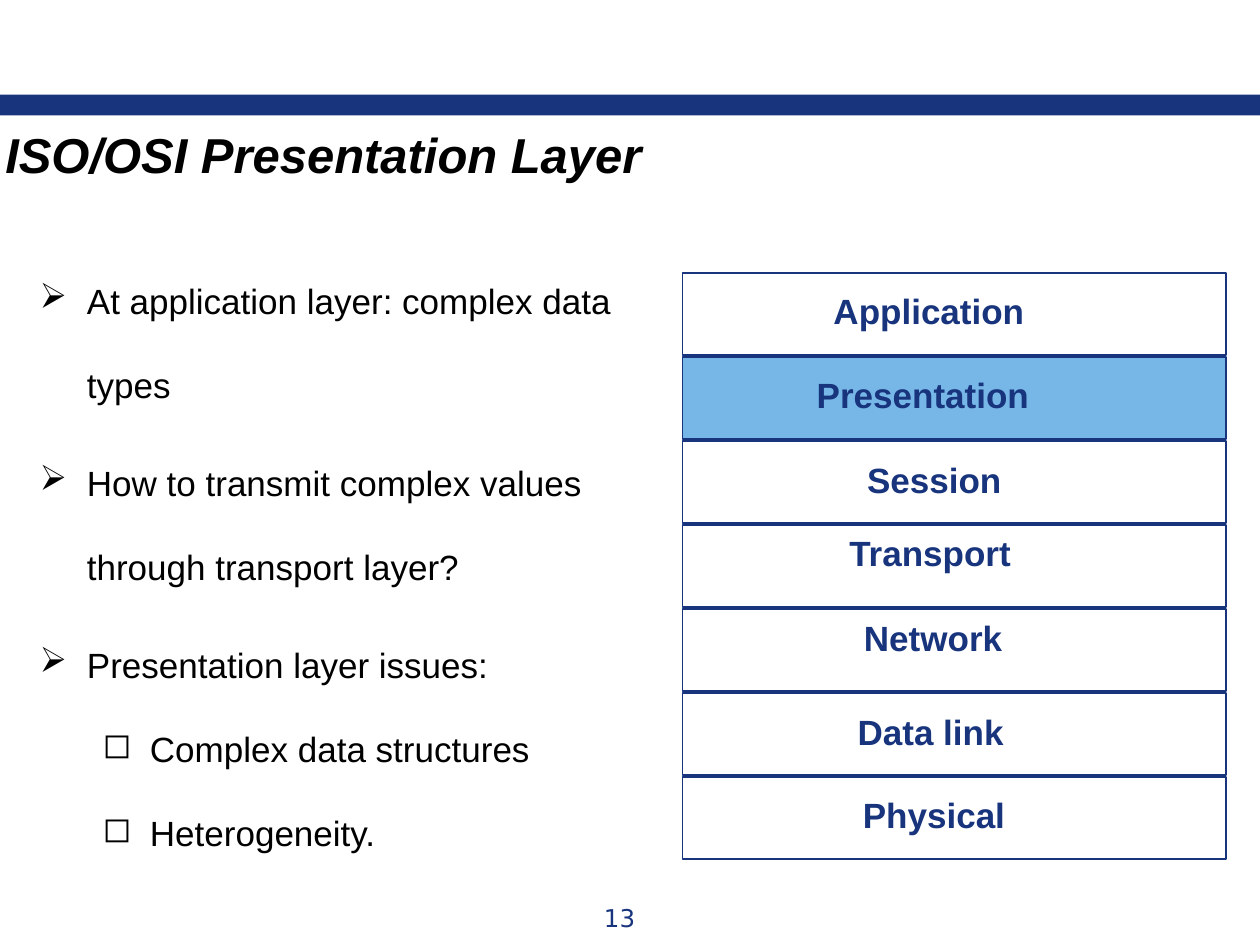
from dataclasses import dataclass

from lxml.etree import SubElement
from pptx import Presentation
from pptx.dml.color import RGBColor
from pptx.enum.shapes import MSO_SHAPE as Preset
from pptx.enum.text import MSO_ANCHOR as Anchor, MSO_AUTO_SIZE as AutoSize, PP_ALIGN as Align
from pptx.oxml.ns import qn
from pptx.util import Pt

PX = 7620  # EMU per px, 120 px to the inch
NAVY, SKY, BLACK = "17347D", "77B7E7", "000000"
ROW_LEFT, ROW_TOP, ROW_WIDTH, ROW_HEIGHT, ROW_PITCH = 650, 260, 518, 78, 80
LABEL_HEIGHT = 52


@dataclass
class Layer:
    name: str
    left: int
    top: int
    width: int
    fill: str | None = None


@dataclass
class Bullet:
    text: str
    level: int = 0
    space_before: int = 0


LAYERS = [
    Layer("Application", 782, 270, 208),
    Layer("Presentation", 766, 350, 228, SKY),
    Layer("Session", 814, 431, 154),
    Layer("Transport", 797, 500, 179),
    Layer("Network", 811, 581, 157),
    Layer("Data link", 805, 671, 164),
    Layer("Physical", 810, 750, 161),
]
BULLETS = [
    Bullet("At application layer: complex data types"),
    Bullet("How to transmit complex values through transport layer?", space_before=8),
    Bullet("Presentation layer issues:", space_before=8),
    Bullet("Complex data structures", level=1),
    Bullet("Heterogeneity.", level=1),
]
BULLET_SIGNS = ["➢", "◻"]
TEXT_INDENTS = [45, 105]
HANGING = 45


def color(value: str) -> RGBColor:
    return RGBColor.from_string(value)


def box(left: int, top: int, width: int, height: int) -> tuple[int, ...]:
    return tuple(length * PX for length in (left, top, width, height))


def set_font(paragraph, size: int, hex_color: str, name: str = "Arial",
             bold: bool = False, italic: bool = False) -> None:
    font = paragraph.font
    font.name, font.size, font.bold, font.italic = name, Pt(size), bold, italic
    font.color.rgb = color(hex_color)


def add_rectangle(slide, bounds: tuple[int, ...], fill: str | None, line: str | None) -> None:
    shape = slide.shapes.add_shape(Preset.RECTANGLE, *bounds)
    shape.shadow.inherit = False
    if fill:
        shape.fill.solid()
        shape.fill.fore_color.rgb = color(fill)
    else:
        shape.fill.background()
    if line:
        shape.line.color.rgb = color(line)
        shape.line.width = Pt(1)
    else:
        shape.line.fill.background()


def add_label(slide, layer: Layer) -> None:
    bounds = box(layer.left, layer.top, layer.width, LABEL_HEIGHT)
    frame = slide.shapes.add_textbox(*bounds).text_frame
    frame.word_wrap = False
    frame.auto_size = AutoSize.SHAPE_TO_FIT_TEXT
    frame.text = layer.name
    set_font(frame.paragraphs[0], 20, NAVY, bold=True)


def add_bullet(paragraph, bullet: Bullet) -> None:
    paragraph.text = bullet.text
    paragraph.level = bullet.level
    paragraph.line_spacing = 2.0
    if bullet.space_before:
        paragraph.space_before = Pt(bullet.space_before)
    properties = paragraph._p.get_or_add_pPr()
    properties.set("marL", str(TEXT_INDENTS[bullet.level] * PX))
    properties.set("indent", str(-HANGING * PX))
    SubElement(properties, qn("a:buChar")).set("char", BULLET_SIGNS[bullet.level])
    set_font(paragraph, 20, BLACK)


def main() -> None:
    presentation = Presentation()
    presentation.slide_width, presentation.slide_height = 1200 * PX, 900 * PX
    slide = presentation.slides.add_slide(presentation.slide_layouts[5])

    # Header bar and title
    add_rectangle(slide, box(0, 90, 1200, 20), NAVY, None)
    title = slide.shapes.title
    title.left, title.top, title.width, title.height = box(-7, 113, 637, 68)
    frame = title.text_frame
    frame.text = "ISO/OSI Presentation Layer"
    frame.word_wrap = False
    frame.auto_size = AutoSize.SHAPE_TO_FIT_TEXT
    frame.vertical_anchor = Anchor.TOP
    frame.paragraphs[0].alignment = Align.LEFT
    set_font(frame.paragraphs[0], 28, BLACK, bold=True, italic=True)

    # Bulleted text
    frame = slide.shapes.add_textbox(*box(26, 220, 600, 610)).text_frame
    frame.word_wrap = True
    frame.auto_size = AutoSize.SHAPE_TO_FIT_TEXT
    for index, bullet in enumerate(BULLETS):
        paragraph = frame.add_paragraph() if index else frame.paragraphs[0]
        add_bullet(paragraph, bullet)

    # Layer stack
    for index, layer in enumerate(LAYERS):
        top = ROW_TOP + index * ROW_PITCH
        add_rectangle(slide, box(ROW_LEFT, top, ROW_WIDTH, ROW_HEIGHT), layer.fill, NAVY)
    for layer in LAYERS:
        add_label(slide, layer)

    # Page number
    frame = slide.shapes.add_textbox(*box(450, 854, 280, 41)).text_frame
    frame.word_wrap = True
    frame.text = "13"
    frame.paragraphs[0].alignment = Align.CENTER
    set_font(frame.paragraphs[0], 14, NAVY, name="DejaVu Sans")

    presentation.save("out.pptx")


if __name__ == "__main__":
    main()
